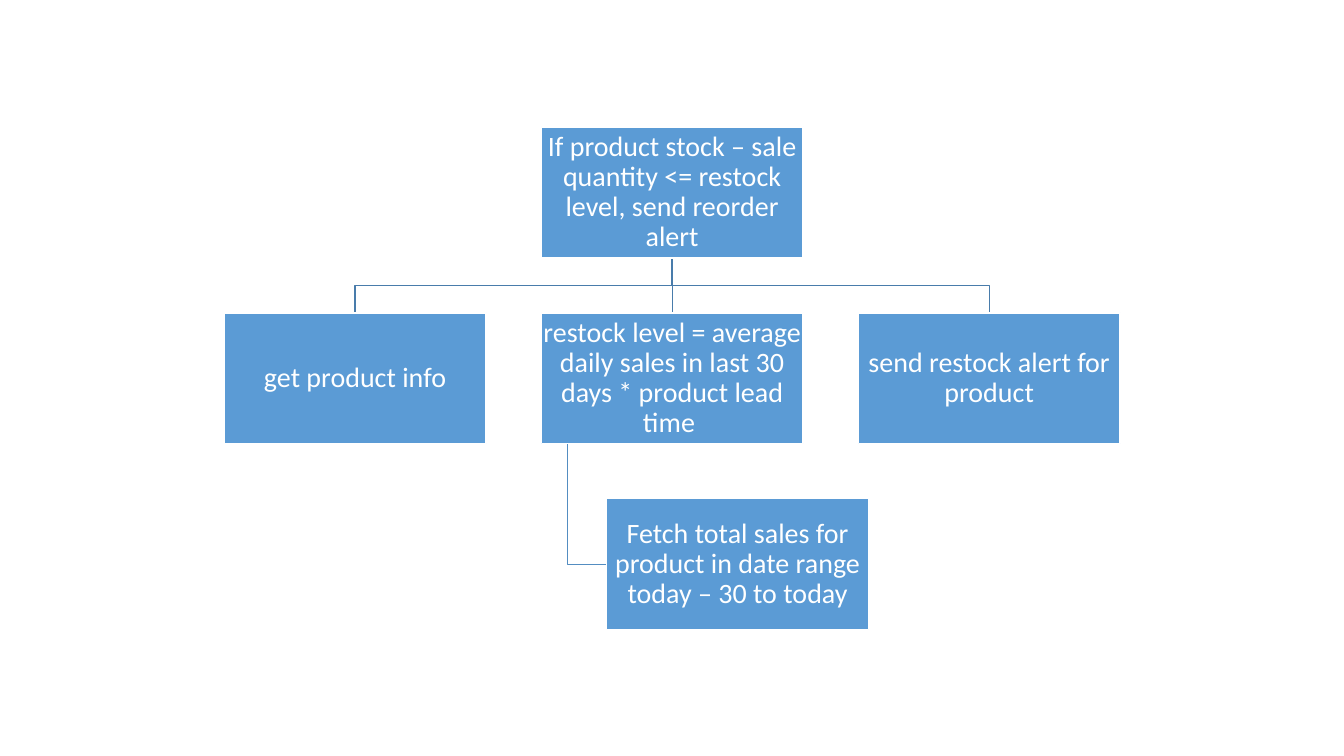
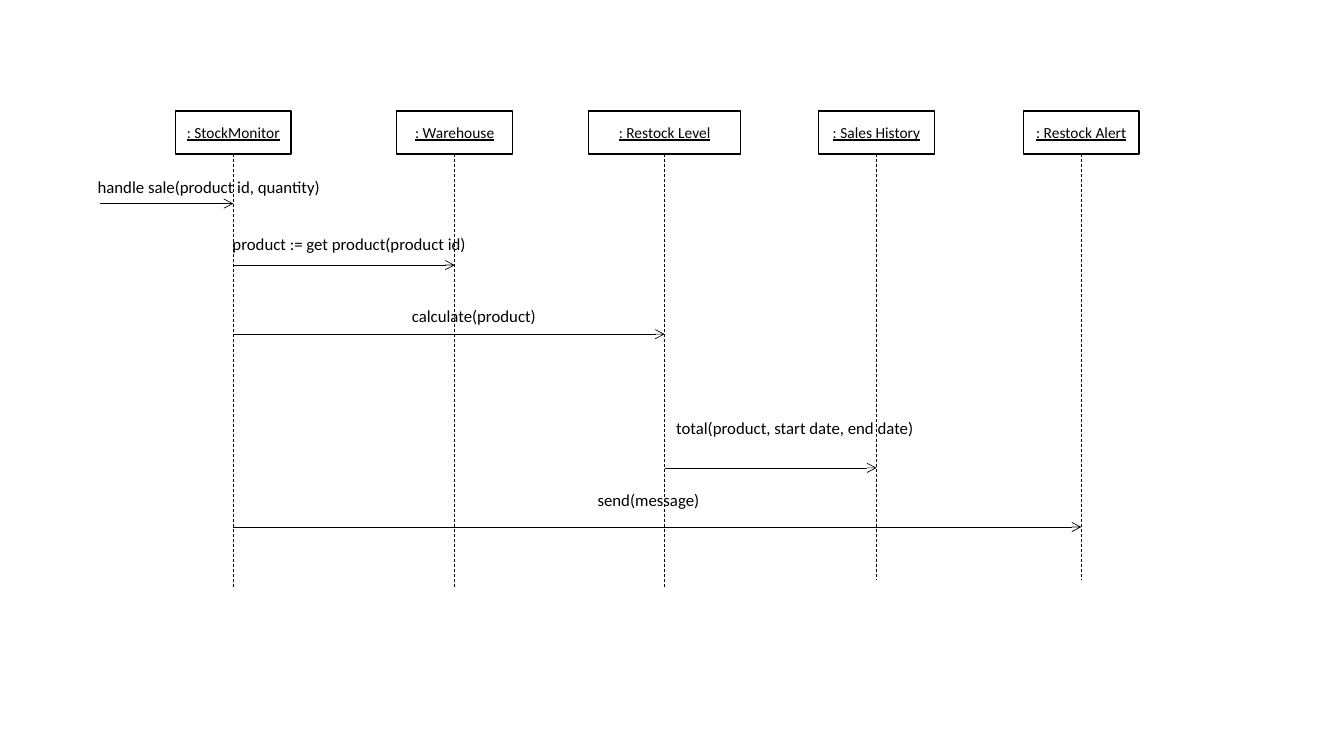
from pptx import Presentation
from pptx.dml.color import RGBColor
from pptx.enum.dml import MSO_LINE
from pptx.enum.shapes import MSO_CONNECTOR, MSO_SHAPE
from pptx.enum.text import MSO_ANCHOR, MSO_AUTO_SIZE, PP_ALIGN
from pptx.oxml.ns import qn
from pptx.util import Cm, Pt
from lxml.etree import SubElement

FONT = "Calibri"
INK = {"blue": "5B9BD5", "trunk": "497CAB", "twig": "538DC1",
       "white": "FFFFFF", "black": "000000"}


def tint(name):
    """Return the named colour."""
    return RGBColor.from_string(INK[name])


def write(frame, text, size=12, color="black", under=None, align=PP_ALIGN.LEFT,
          space=None, inset=None, wrap=True):
    """Put one formatted paragraph into a text frame."""
    frame.word_wrap = wrap
    if inset is not None:
        frame.margin_left = frame.margin_right = Cm(inset)
        frame.margin_top = frame.margin_bottom = Cm(inset)
    para = frame.paragraphs[0]
    para.alignment = align
    para.line_spacing = space
    run = para.add_run()
    run.text = text
    font = run.font
    font.name, font.size, font.underline = FONT, Pt(size), under
    font.color.rgb = tint(color)


def block(slide, text, x, y, wide, high, fill, edge, **style):
    """Draw a filled rectangle with centred text."""
    shape = slide.shapes.add_shape(MSO_SHAPE.RECTANGLE, Cm(x), Cm(y), Cm(wide), Cm(high))
    shape.shadow.inherit = False
    shape.fill.solid()
    shape.fill.fore_color.rgb = tint(fill)
    shape.line.color.rgb = tint(edge)
    shape.line.width = Pt(1)
    shape.text_frame.vertical_anchor = MSO_ANCHOR.MIDDLE
    write(shape.text_frame, text, align=PP_ALIGN.CENTER, **style)


def line(slide, start, end, color="black", width=0.5, dash=None, arrow=False):
    """Draw a straight line, dashed or with an arrowhead on request."""
    points = [Cm(value) for value in (*start, *end)]
    link = slide.shapes.add_connector(MSO_CONNECTOR.STRAIGHT, *points)
    link.line.color.rgb = tint(color)
    link.line.width = Pt(width)
    if dash:
        link.line.dash_style = dash
    if arrow:
        SubElement(link.line._get_or_add_ln(), qn("a:tailEnd"), type="arrow")
    SubElement(link._element.spPr, qn("a:effectLst"))


def elbow(slide, points, color):
    """Draw an open bent line through the points."""
    first, *rest = [(Cm(x), Cm(y)) for x, y in points]
    pen = slide.shapes.build_freeform(*first)
    pen.add_line_segments(rest, close=False)
    shape = pen.convert_to_shape()
    shape.shadow.inherit = False
    shape.fill.background()
    shape.line.color.rgb = tint(color)
    shape.line.width = Pt(1)


def tree(slide, left, top, wide, high):
    """Draw the task tree inside the given box."""
    width, height = 6.6, 3.3
    across, down = (wide - width) / 2, (high - height) / 2
    cols = [left + across * i for i in range(3)]
    rows = [top + down * i for i in range(3)]
    mid = cols[1] + width / 2
    foot = rows[0] + height
    bend = (foot + rows[1]) / 2
    for col in (cols[0], cols[2]):
        end = col + width / 2
        elbow(slide, [(mid, foot), (mid, bend), (end, bend), (end, rows[1])], "trunk")
    line(slide, (mid, foot), (mid, rows[1]), "trunk", 1)
    stem, leaf = cols[1] + width / 10, cols[1] + width / 4
    low = rows[2] + height / 2
    elbow(slide, [(stem, rows[1] + height), (stem, low), (leaf, low)], "twig")
    tasks = [
        ("If product stock – sale quantity <= restock level, send reorder alert",
         cols[1], rows[0]),
        ("get product info", cols[0], rows[1]),
        ("restock level = average daily sales in last 30 days * product lead time ",
         cols[1], rows[1]),
        ("Fetch total sales for product in date range today – 30 to today",
         leaf, rows[2]),
        ("send restock alert for product", cols[2], rows[1]),
    ]
    for text, x, y in tasks:
        block(slide, text, x, y, width, height, "blue", "white",
              size=20, color="white", space=0.9, inset=0.03)


def label(slide, text, x, y, wide):
    """Place an unwrapped message label."""
    box = slide.shapes.add_textbox(Cm(x), Cm(y), Cm(wide), Cm(0.76))
    write(box.text_frame, text, wrap=False)
    box.text_frame.auto_size = MSO_AUTO_SIZE.SHAPE_TO_FIT_TEXT


def flow(slide, left, top, high):
    """Draw the sequence diagram from its left and top edges."""
    head = 1.08
    actors = [(": StockMonitor", 3.37, 2.92, 0),
              (": Warehouse", 8.95, 2.92, 0),
              (": Restock Level", 14.24, 3.84, 0),
              (": Sales History", 19.58, 2.92, 0.18),
              (": Restock Alert", 24.74, 2.92, 0.18)]
    spots = [left + x for _, x, _, _ in actors]
    for (name, _, wide, short), x in zip(actors, spots):
        block(slide, name, x - wide / 2, top, wide, head, "white", "black",
              size=11, under=True)
        line(slide, (x, top + head), (x, top + high - short), dash=MSO_LINE.DASH)
    calls = [("handle sale(product id, quantity)", left, spots[0], 2.33, -0.3, 1.52, 6.17),
             ("product := get product(product id)", spots[0], spots[1], 3.88, 3.1, 2.97, 6.45),
             ("calculate(product)", spots[0], spots[2], 5.62, 7.62, 4.77, 3.66),
             ("total(product, start date, end date)", spots[2], spots[3], 8.99, 14.28, 7.61, 6.55),
             ("send(message)", spots[0], spots[4], 10.48, 12.3, 9.42, 3.1)]
    for text, start, end, y, x, rise, wide in calls:
        line(slide, (start, top + y), (end, top + y), arrow=True)
        label(slide, text, left + x, top + rise, wide)


def main():
    """Build and save both slides."""
    deck = Presentation()
    deck.slide_width, deck.slide_height = Cm(33.87), Cm(19.05)
    blank = deck.slide_layouts[6]
    tree(deck.slides.add_slide(blank), 5.65, 3.2, 22.58, 12.67)
    flow(deck.slides.add_slide(blank), 2.51, 2.8, 11.98)
    deck.save("out.pptx")


main()
